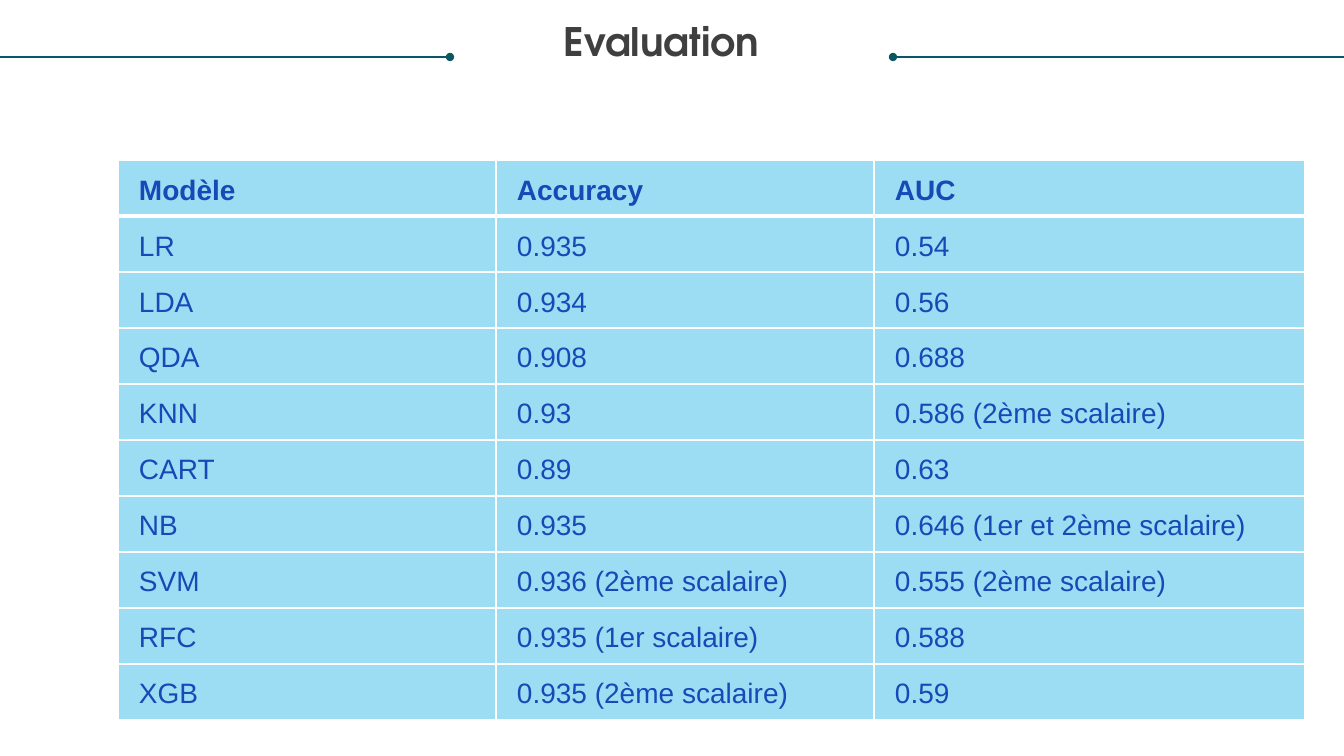
from dataclasses import dataclass

from lxml import etree
from pptx import Presentation
from pptx.dml.color import RGBColor
from pptx.enum.text import MSO_ANCHOR, MSO_AUTO_SIZE, PP_ALIGN
from pptx.enum.shapes import MSO_CONNECTOR
from pptx.oxml.ns import qn
from pptx.util import Emu, Pt

SLIDE_W, SLIDE_H = 1344, 756
EMU_PER_PX = 12192000 / SLIDE_W

WHITE = RGBColor(0xFF, 0xFF, 0xFF)
SKY = RGBColor(0x9D, 0xDD, 0xF4)
BLUE = RGBColor(0x15, 0x4A, 0xB7)
TEAL = RGBColor(0x08, 0x57, 0x63)
GREY = RGBColor(0x3F, 0x3F, 0x3F)

STRAIGHT = MSO_CONNECTOR.STRAIGHT
CENTER = PP_ALIGN.CENTER
TOP = MSO_ANCHOR.TOP
NO_AUTOFIT = MSO_AUTO_SIZE.NONE

TITLE_ONLY = 5
TABLE_LEFT, TABLE_TOP = 118, 160
COL_WIDTHS = (378, 378, 431)
ROW_H = 56
CELL_MARGIN, CELL_INDENT = 10, 11
THIN, THICK = Pt(1.1), Pt(3.33)


@dataclass(frozen=True)
class Score:
    model: str
    accuracy: str
    auc: str


@dataclass(frozen=True)
class Rule:
    """Horizontal line with a dot at its headEnd or tailEnd."""
    x1: int
    x2: int
    dot: str


HEADER = Score("Modèle", "Accuracy", "AUC")
SCORES = (
    Score("LR", "0.935", "0.54"),
    Score("LDA", "0.934", "0.56"),
    Score("QDA", "0.908", "0.688"),
    Score("KNN", "0.93", "0.586 (2ème scalaire)"),
    Score("CART", "0.89", "0.63"),
    Score("NB", "0.935", "0.646 (1er et 2ème scalaire)"),
    Score("SVM", "0.936 (2ème scalaire)", "0.555 (2ème scalaire)"),
    Score("RFC", "0.935 (1er scalaire)", "0.588"),
    Score("XGB", "0.935 (2ème scalaire)", "0.59"),
)
RULE_Y = 57
RULES = (Rule(0, 450, "tailEnd"), Rule(893, SLIDE_W, "headEnd"))


def px(n: int) -> Emu:
    return Emu(round(n * EMU_PER_PX))


def set_borders(cell, top: int, bottom: int) -> None:
    tc_pr = cell._tc.get_or_add_tcPr()
    sides = (("lnL", THIN), ("lnR", THIN), ("lnT", top), ("lnB", bottom))
    for i, (side, width) in enumerate(sides):
        ln = etree.Element(qn(f"a:{side}"), w=str(int(width)))
        fill = etree.SubElement(ln, qn("a:solidFill"))
        etree.SubElement(fill, qn("a:srgbClr"), val=str(WHITE))
        tc_pr.insert(i, ln)


def fill_cell(cell, text: str, row: int) -> None:
    cell.fill.solid()
    cell.fill.fore_color.rgb = SKY
    cell.margin_left = cell.margin_right = px(CELL_MARGIN)
    cell.margin_top = cell.margin_bottom = px(CELL_MARGIN)
    cell.vertical_anchor = TOP
    p = cell.text_frame.paragraphs[0]
    p.text = text
    p.line_spacing = 1.15
    p._p.get_or_add_pPr().set("marL", str(px(CELL_INDENT)))
    p.font.name = "Arial"
    p.font.size = Pt(20)
    p.font.bold = row == 0
    p.font.color.rgb = BLUE
    set_borders(cell, THICK if row == 1 else THIN, THICK if row == 0 else THIN)


def add_score_table(slide) -> None:
    rows = (HEADER, *SCORES)
    table = slide.shapes.add_table(
        len(rows), len(COL_WIDTHS), px(TABLE_LEFT), px(TABLE_TOP),
        px(sum(COL_WIDTHS)), px(ROW_H * len(rows))).table
    table.horz_banding = False
    for col, width in zip(table.columns, COL_WIDTHS):
        col.width = px(width)
    for r, score in enumerate(rows):
        table.rows[r].height = px(ROW_H)
        for c, text in enumerate((score.model, score.accuracy, score.auc)):
            fill_cell(table.cell(r, c), text, r)


def add_rule(slide, rule: Rule) -> None:
    line = slide.shapes.add_connector(
        STRAIGHT, px(rule.x1), px(RULE_Y), px(rule.x2), px(RULE_Y))
    line.line.color.rgb = TEAL
    line.line.width = Pt(0.75)
    etree.SubElement(line.line._get_or_add_ln(), qn(f"a:{rule.dot}"), type="oval")
    etree.SubElement(line._element.spPr, qn("a:effectLst"))


def set_title(slide, text: str) -> None:
    sp = slide.shapes.title
    sp.left, sp.top, sp.width, sp.height = px(15), px(23), px(1293), px(86)
    tf = sp.text_frame
    tf.margin_left = tf.margin_right = tf.margin_top = tf.margin_bottom = 0
    tf.word_wrap = True
    tf.auto_size = NO_AUTOFIT
    tf.vertical_anchor = TOP
    p = tf.paragraphs[0]
    p.text = text
    p.alignment = CENTER
    p.line_spacing = 0.9
    p.font.name = "TeX Gyre Adventor"
    p.font.size = Pt(28)
    p.font.bold = True
    p.font.color.rgb = GREY


def main() -> None:
    prs = Presentation()
    prs.slide_width, prs.slide_height = px(SLIDE_W), px(SLIDE_H)
    slide = prs.slides.add_slide(prs.slide_layouts[TITLE_ONLY])
    add_score_table(slide)
    for rule in RULES:
        add_rule(slide, rule)
    set_title(slide, "Evaluation")
    prs.save("out.pptx")


if __name__ == "__main__":
    main()
